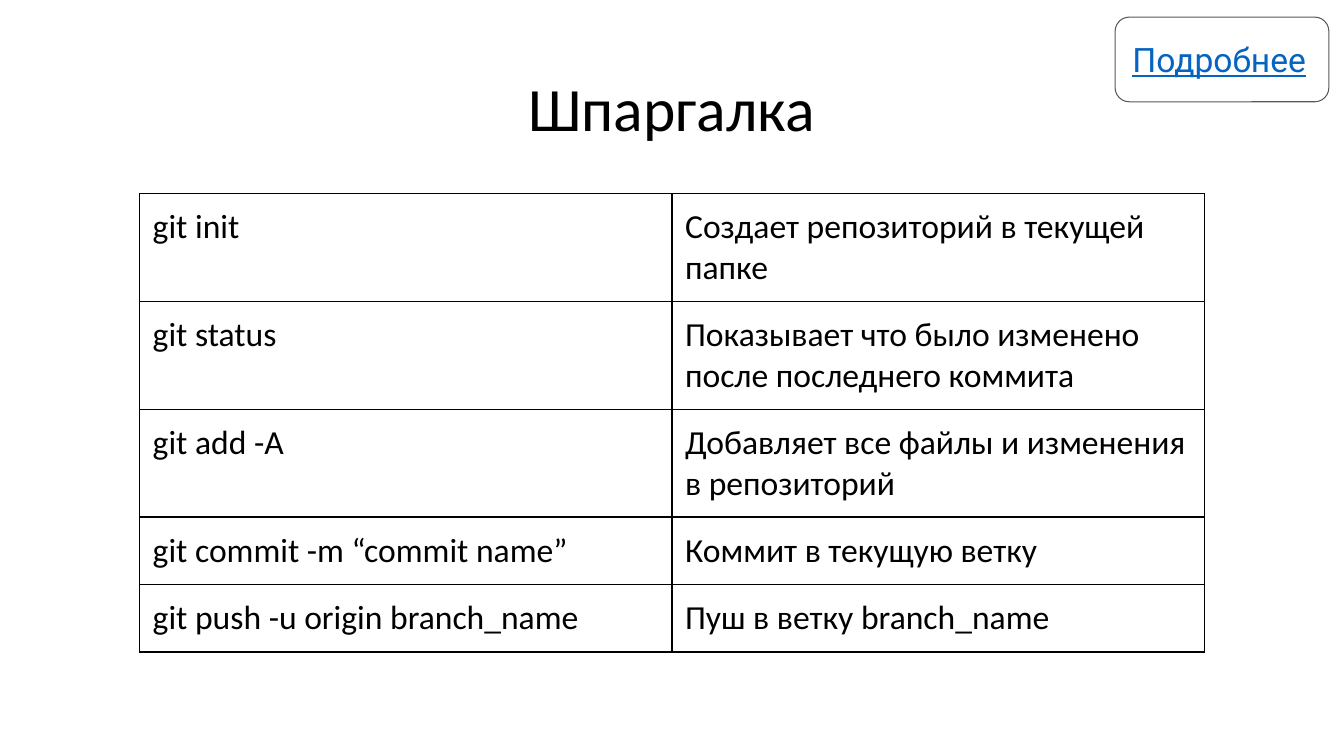
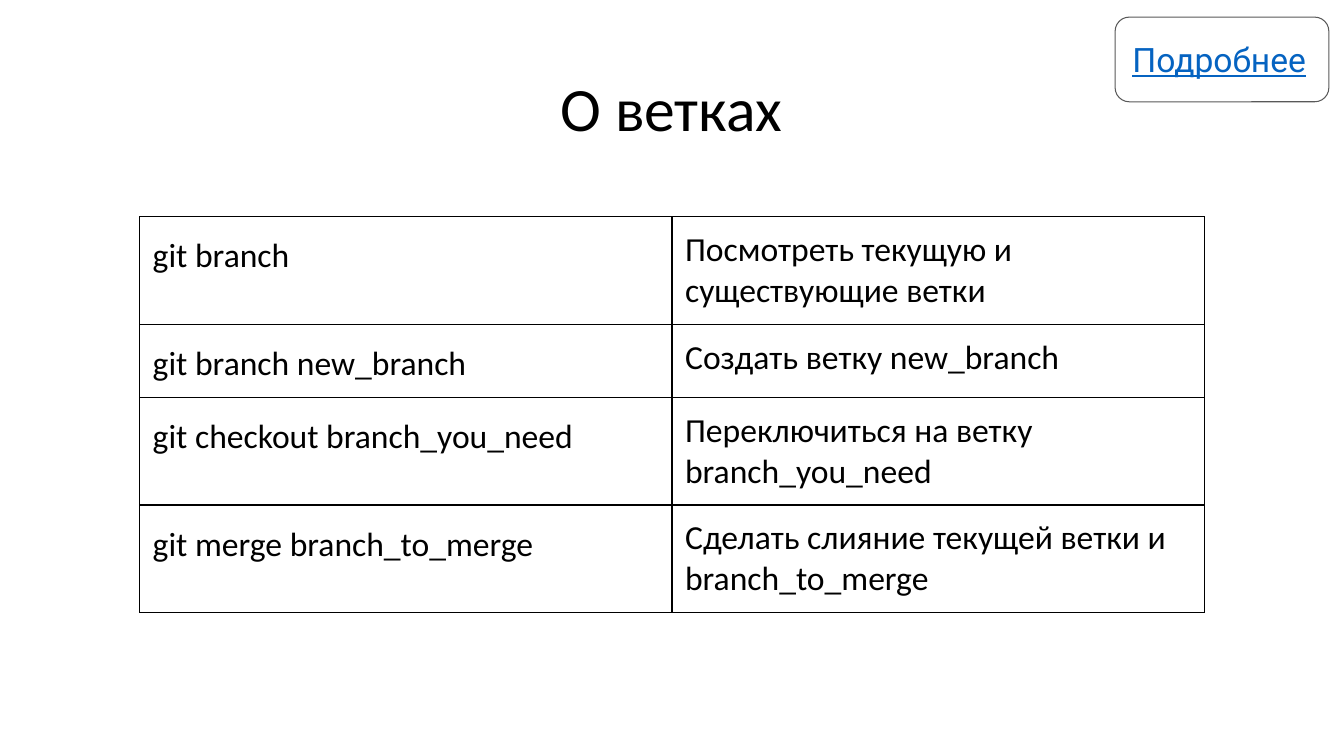
from lxml import etree
from pptx import Presentation
from pptx.dml.color import RGBColor
from pptx.enum.shapes import MSO_SHAPE as SHAPE
from pptx.enum.text import MSO_ANCHOR as ANCHOR, PP_ALIGN as ALIGN
from pptx.oxml.ns import qn
from pptx.util import Inches, Pt

SLIDES = [
    {"title": "Шпаргалка", "top": 1.92, "row_heights": [1.07, 1.07, 1.07, 0.67, 0.67],
     "command_spacing": 1.0,
     "rows": [
         ("git init", "Создает репозиторий в текущей папке"),
         ("git status", "Показывает что было изменено после последнего коммита"),
         ("git add -A", "Добавляет все файлы и изменения в репозиторий"),
         ("git commit -m “commit name”", "Коммит в текущую ветку"),
         ("git push -u origin branch_name", "Пуш в ветку branch_name"),
     ]},
    {"title": "О ветках", "top": 2.15, "row_heights": [1.07, 0.7, 1.07, 1.07],
     "command_spacing": 1.15,
     "rows": [
         ("git branch", "Посмотреть текущую и существующие ветки"),
         ("git branch new_branch", "Создать ветку new_branch"),
         ("git checkout branch_you_need", "Переключиться на ветку branch_you_need"),
         ("git merge branch_to_merge", "Сделать слияние текущей ветки и branch_to_merge"),
     ]},
]
BUTTON_LABEL = "Подробнее"

WIDTH, HEIGHT = 13.33, 7.5
TABLE_WIDTH = 10.56
TITLE_BOX = (0.45, 0.65, 12.42, 0.84)
BUTTON_BOX = (11.06, 0.17, 2.12, 0.84)
INSET = Inches(0.13)
BLACK, WHITE, GREY, BLUE = "000000", "FFFFFF", "595959", "0563C1"

TITLE = {"name": "Calibri", "size": Pt(44)}
BODY = {"name": "Calibri", "size": Pt(24), "bold": False}
LINK = {"name": "Roboto", "size": Pt(24), "underline": True}


def rgb(color):
    return RGBColor.from_string(color)


def inches(box):
    return [Inches(v) for v in box]


def write(tf, text, font, color=BLACK, align=ALIGN.LEFT, spacing=1.0):
    p = tf.paragraphs[0]
    p.alignment, p.line_spacing = align, spacing
    r = p.add_run()
    r.text = text
    for key, value in font.items():
        setattr(r.font, key, value)
    r.font.color.rgb = rgb(color)


def set_insets(holder):
    """Give a text frame or a table cell the shared inner margin."""
    for side in ("left", "right", "top", "bottom"):
        setattr(holder, f"margin_{side}", INSET)


def add_borders(cell):
    tc_pr = cell._tc.get_or_add_tcPr()
    for i, side in enumerate(("lnL", "lnR", "lnT", "lnB")):
        ln = etree.Element(qn(f"a:{side}"), w=str(Pt(1)))
        fill = etree.SubElement(ln, qn("a:solidFill"))
        etree.SubElement(fill, qn("a:srgbClr"), val=BLACK)
        tc_pr.insert(i, ln)


def add_title(s, text):
    tf = s.shapes.add_textbox(*inches(TITLE_BOX)).text_frame
    tf.word_wrap = True
    set_insets(tf)
    write(tf, text, TITLE, align=ALIGN.CENTER, spacing=0.9)


def add_commands(s, top, row_heights, rows, command_spacing):
    box = ((WIDTH - TABLE_WIDTH) / 2, top, TABLE_WIDTH, sum(row_heights))
    table = s.shapes.add_table(len(rows), 2, *inches(box)).table
    table.first_row = table.horz_banding = False
    for row, height, texts in zip(table.rows, row_heights, rows):
        row.height = Inches(height)
        for cell, text, spacing in zip(row.cells, texts, (command_spacing, 1.0)):
            set_insets(cell)
            cell.fill.background()
            add_borders(cell)
            write(cell.text_frame, text, BODY, spacing=spacing)


def add_button(s):
    sp = s.shapes.add_shape(SHAPE.ROUNDED_RECTANGLE, *inches(BUTTON_BOX))
    sp.shadow.inherit = False
    sp.adjustments[0] = 0.167
    sp.fill.solid()
    sp.fill.fore_color.rgb = rgb(WHITE)
    sp.line.color.rgb = rgb(GREY)
    sp.line.width = Pt(0.75)
    tf = sp.text_frame
    tf.word_wrap = True
    tf.vertical_anchor = ANCHOR.MIDDLE
    set_insets(tf)
    write(tf, BUTTON_LABEL, LINK, BLUE)


def main():
    prs = Presentation()
    prs.slide_width, prs.slide_height = inches((WIDTH, HEIGHT))
    for page in SLIDES:
        s = prs.slides.add_slide(prs.slide_layouts[6])
        add_title(s, page["title"])
        add_commands(s, page["top"], page["row_heights"], page["rows"],
                     page["command_spacing"])
        add_button(s)
    prs.save("out.pptx")


if __name__ == "__main__":
    main()
